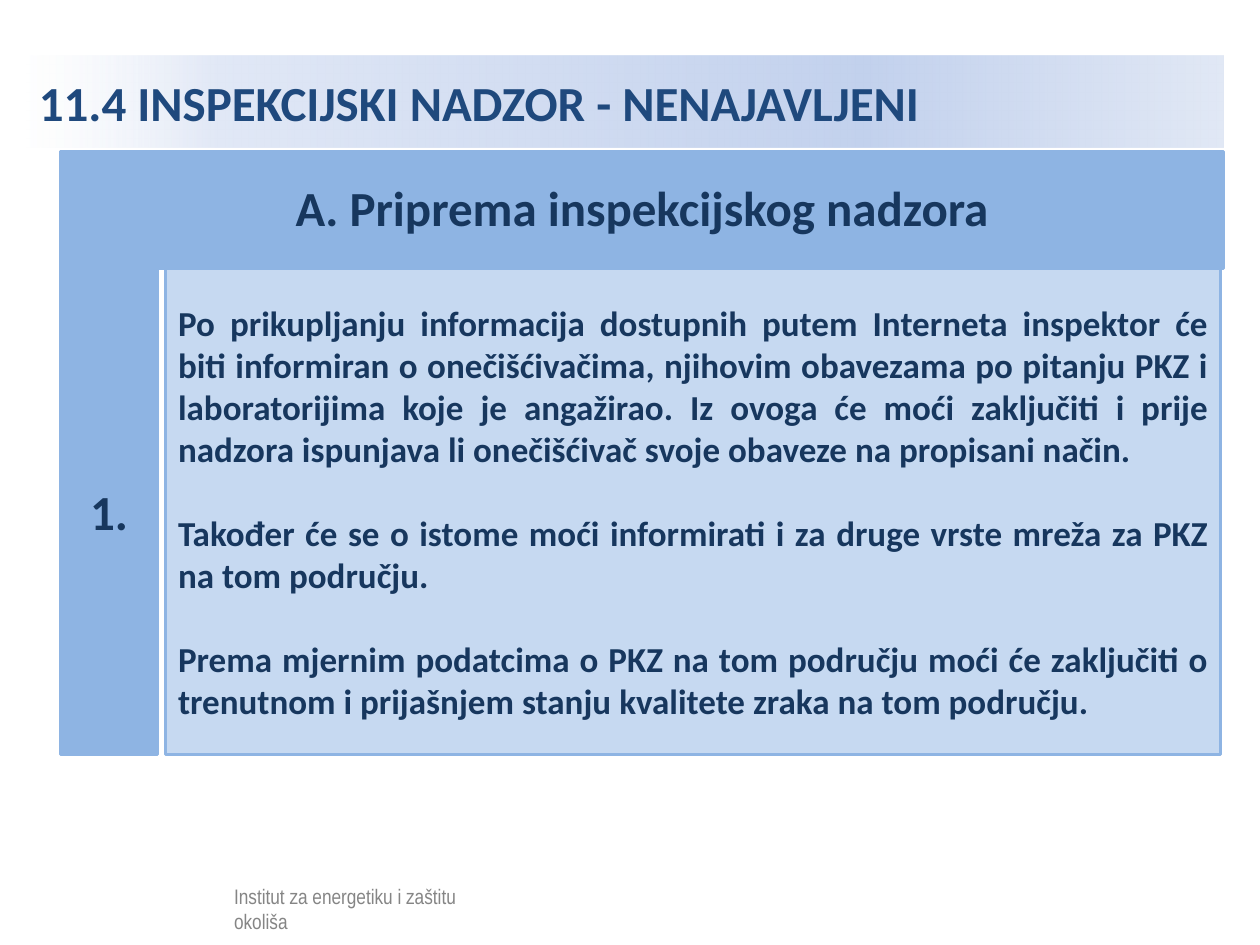
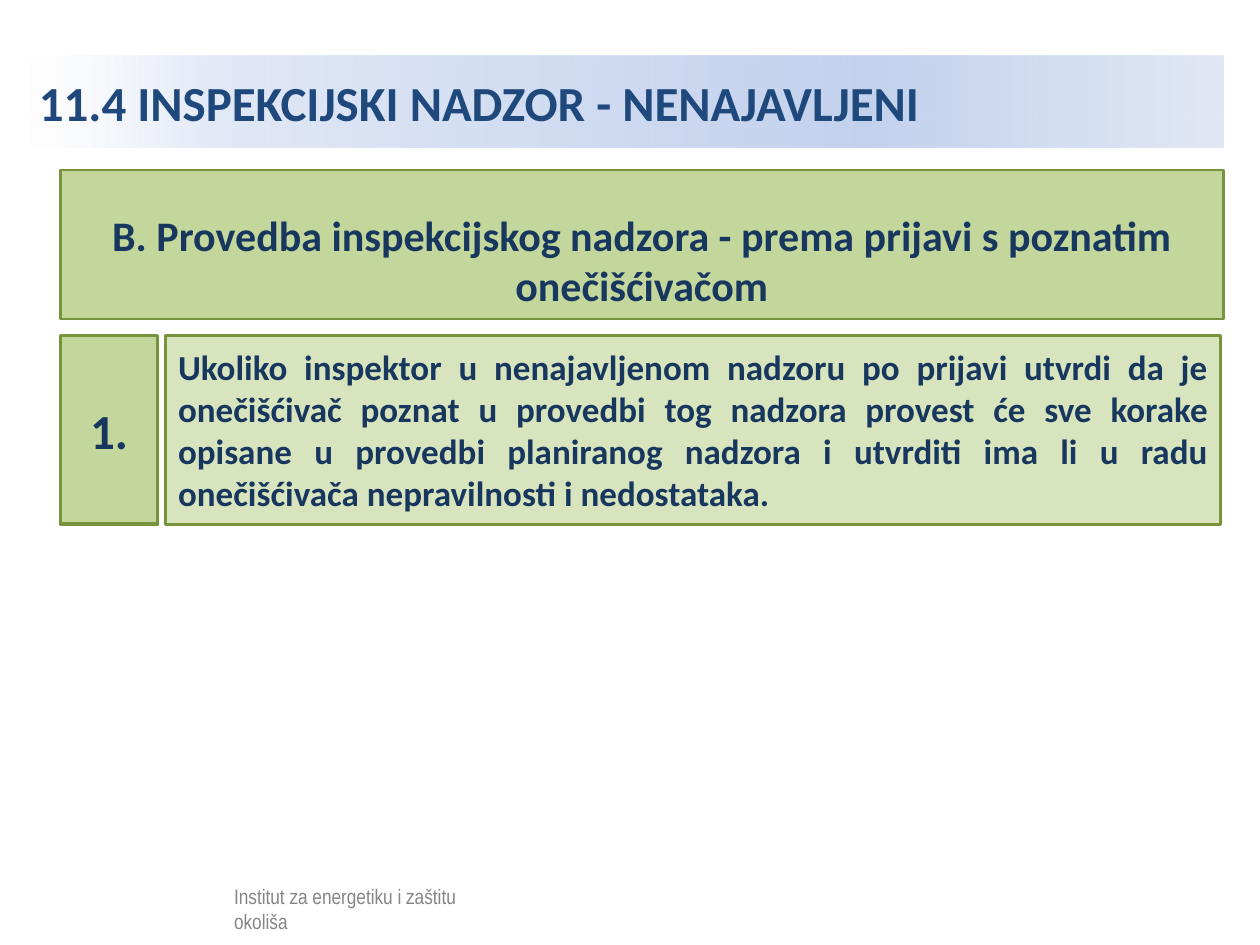
from dataclasses import dataclass

from lxml import etree
from pptx import Presentation
from pptx import util as u
from pptx.dml.color import RGBColor
from pptx.enum import shapes, text
from pptx.oxml import ns
from pptx.shapes.autoshape import Shape
from pptx.slide import Slide

LEFT, CENTER, JUSTIFY = (
    text.PP_ALIGN.LEFT, text.PP_ALIGN.CENTER, text.PP_ALIGN.JUSTIFY)


@dataclass(frozen=True)
class Theme:
    font: str = "Calibri"
    footer_font: str = "Arial Narrow"
    title_color: str = "1F497D"
    ink: str = "17375E"
    footer_ink: str = "000000"
    white: str = "FFFFFF"
    veil_opacity: int = 52
    # position in percent, colour, opacity in percent
    title_stops: tuple = (
        (0, "FFFFFF", 52), (16, "E1E8F6", 100), (70, "C2D1ED", 100), (100, "E1E8F5", 100))
    large: int = 28
    heading: int = 24
    body: int = 20
    small: int = 12
    paragraph_gap: int = 24
    thin_line: float = 1.5
    thick_line: float = 2


@dataclass(frozen=True)
class Palette:
    strong: str
    pale: str
    line: str


@dataclass(frozen=True)
class Box:
    """A rectangle in centimetres."""
    left: float
    top: float
    width: float
    height: float

    def lengths(self) -> tuple:
        return tuple(u.Cm(value) for value in (self.left, self.top, self.width, self.height))


@dataclass(frozen=True)
class Step:
    heading: str
    heading_size: int
    heading_top: float
    band_top: float
    band_height: float
    number: str
    paragraphs: tuple
    row_top: float
    row_height: float
    palette: Palette


THEME = Theme()
BLUE = Palette("8EB4E3", "C6D9F1", "8EB4E3")
GREEN = Palette("C3D69B", "D7E4BD", "77933C")

TITLE = "11.4 INSPEKCIJSKI NADZOR - NENAJAVLJENI"
FOOTER = "Institut za energetiku i zaštitu okoliša"
TITLE_BOX = Box(0.53, 1.12, 24.13, 1.85)
FOOTER_BOX = Box(4.47, 17.68, 5.31, 0.64)
VEIL_BOX = Box(1.04, 17.6, 9.7, 1.22)
BAND_LEFT, BAND_WIDTH = 1.22, 23.44
NUMBER_WIDTH = 1.96
BODY_LEFT, BODY_WIDTH = 3.34, 21.27

STEPS = (
    Step(
        "A. Priprema inspekcijskog nadzora", THEME.large, 3.45, 3.05, 2.36, "1.",
        (
            "Po prikupljanju informacija dostupnih putem Interneta inspektor će biti "
            "informiran o onečišćivačima, njihovim obavezama po pitanju PKZ i "
            "laboratorijima koje je angažirao. Iz ovoga će moći zaključiti i prije "
            "nadzora ispunjava li onečišćivač svoje obaveze na propisani način.",
            "Također će se o istome moći informirati i za druge vrste mreža za PKZ "
            "na tom području.",
            "Prema mjernim podatcima o PKZ na tom području moći će zaključiti o "
            "trenutnom i prijašnjem stanju kvalitete zraka na tom području.",
        ),
        5.41, 9.8, BLUE),
    Step(
        "B. Provedba inspekcijskog nadzora - prema prijavi s poznatim onečišćivačom",
        THEME.heading, 4.09, 3.43, 3, "1.",
        (
            "Ukoliko inspektor u nenajavljenom nadzoru po prijavi utvrdi da je "
            "onečišćivač poznat u provedbi tog nadzora provest će sve korake opisane "
            "u provedbi planiranog nadzora i utvrditi ima li u radu onečišćivača "
            "nepravilnosti i nedostataka.",
        ),
        6.76, 3.81, GREEN),
)


def write(shape: Shape, *paragraphs: str, size: float, color: str = THEME.ink,
          font: str = THEME.font, bold: bool = True, align=LEFT,
          anchor=text.MSO_ANCHOR.MIDDLE) -> None:
    frame = shape.text_frame
    frame.word_wrap = True
    frame.vertical_anchor = anchor
    for index, content in enumerate(paragraphs):
        paragraph = frame.add_paragraph() if index else frame.paragraphs[0]
        paragraph.alignment = align
        if index:
            paragraph.space_before = u.Pt(THEME.paragraph_gap)
        run = paragraph.add_run()
        run.text = content
        run.font.name = font
        run.font.size = u.Pt(size)
        run.font.bold = bold
        run.font.color.rgb = RGBColor.from_string(color)


def add_opacity(color_element, percent: int) -> None:
    etree.SubElement(color_element, ns.qn("a:alpha"), val=str(percent * 1000))


def add_rectangle(slide: Slide, box: Box, fill: str, line: str | None = None,
                  line_width: float = THEME.thin_line) -> Shape:
    shape = slide.shapes.add_shape(shapes.MSO_SHAPE.RECTANGLE, *box.lengths())
    shape.shadow.inherit = False
    shape.fill.solid()
    shape.fill.fore_color.rgb = RGBColor.from_string(fill)
    if line:
        shape.line.color.rgb = RGBColor.from_string(line)
        shape.line.width = u.Pt(line_width)
    else:
        shape.line.fill.background()
    return shape


def add_text_box(slide: Slide, box: Box, content: str, **text_format) -> None:
    shape = slide.shapes.add_textbox(*box.lengths())
    write(shape, content, anchor=text.MSO_ANCHOR.TOP, **text_format)


def fill_title(slide: Slide) -> None:
    title = slide.shapes.title
    title.left, title.top, title.width, title.height = TITLE_BOX.lengths()
    write(title, TITLE, size=THEME.large, color=THEME.title_color)
    gradient = etree.SubElement(title.element.spPr, ns.qn("a:gradFill"), rotWithShape="1")
    stops = etree.SubElement(gradient, ns.qn("a:gsLst"))
    for position, color, opacity in THEME.title_stops:
        stop = etree.SubElement(stops, ns.qn("a:gs"), pos=str(position * 1000))
        color_element = etree.SubElement(stop, ns.qn("a:srgbClr"), val=color)
        if opacity < 100:
            add_opacity(color_element, opacity)
    etree.SubElement(gradient, ns.qn("a:lin"), ang="0", scaled="1")


def add_footer(slide: Slide) -> None:
    """Add the footer text, dimmed by a translucent white veil."""
    add_text_box(slide, FOOTER_BOX, FOOTER, size=THEME.small, color=THEME.footer_ink,
                 font=THEME.footer_font, bold=False)
    veil = add_rectangle(slide, VEIL_BOX, THEME.white)
    add_opacity(veil.element.spPr.find(".//" + ns.qn("a:srgbClr")), THEME.veil_opacity)


def add_step(slide: Slide, step: Step) -> None:
    palette = step.palette
    band = Box(BAND_LEFT, step.band_top, BAND_WIDTH, step.band_height)
    add_rectangle(slide, band, palette.strong, palette.line)
    heading = Box(BAND_LEFT, step.heading_top, BAND_WIDTH, 1.45)
    add_text_box(slide, heading, step.heading, size=step.heading_size, align=CENTER)

    body = add_rectangle(slide, Box(BODY_LEFT, step.row_top, BODY_WIDTH, step.row_height),
                         palette.pale, palette.line)
    write(body, *step.paragraphs, size=THEME.body, align=JUSTIFY)
    number = add_rectangle(slide, Box(BAND_LEFT, step.row_top, NUMBER_WIDTH, step.row_height),
                           palette.strong, palette.line, THEME.thick_line)
    write(number, step.number, size=THEME.large, align=CENTER)


def main() -> None:
    presentation = Presentation()
    presentation.slide_width, presentation.slide_height = u.Cm(25.4), u.Cm(19.05)
    title_only = presentation.slide_layouts[5]
    for step in STEPS:
        slide = presentation.slides.add_slide(title_only)
        fill_title(slide)
        add_footer(slide)
        add_step(slide, step)
    presentation.save("out.pptx")


if __name__ == "__main__":
    main()
